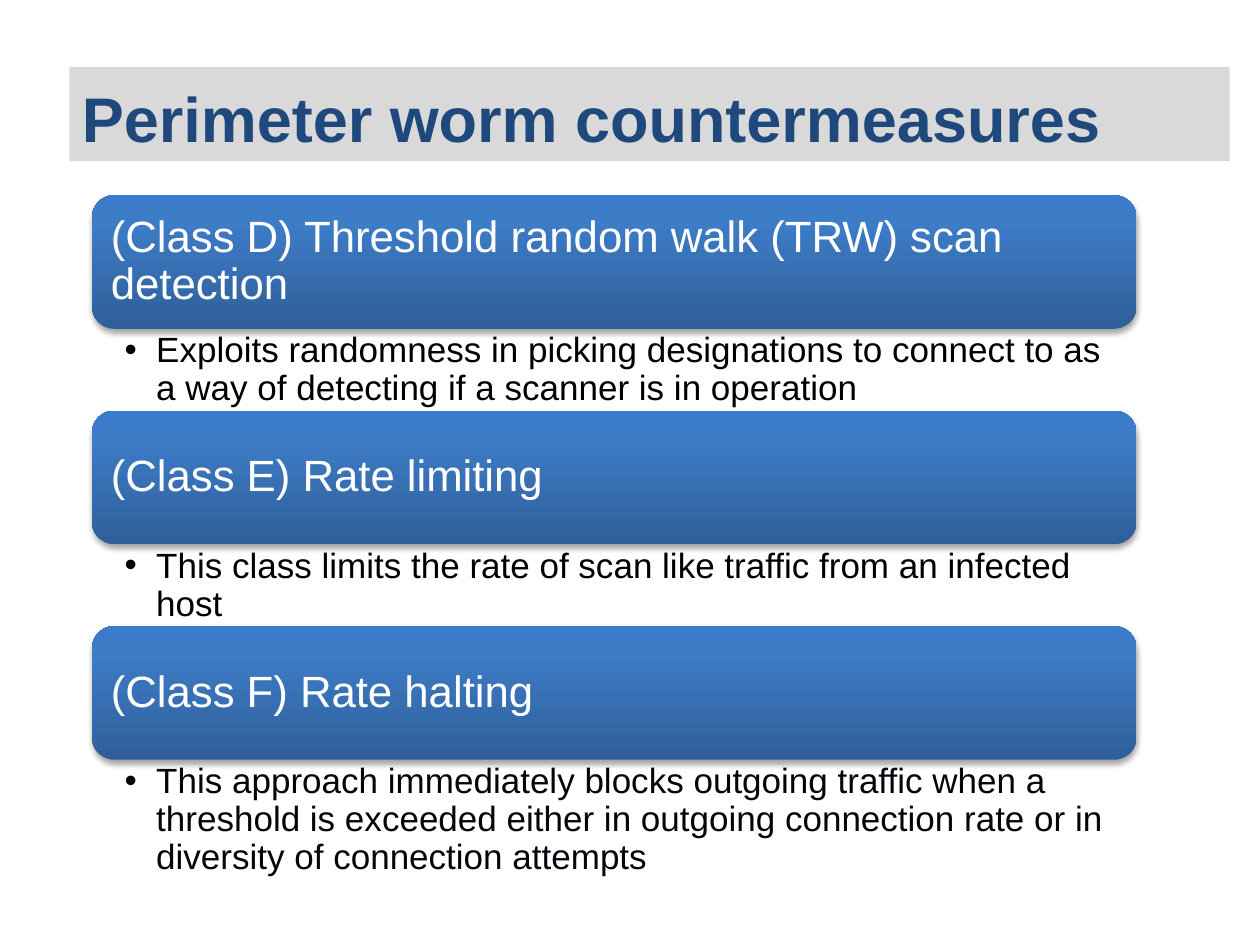
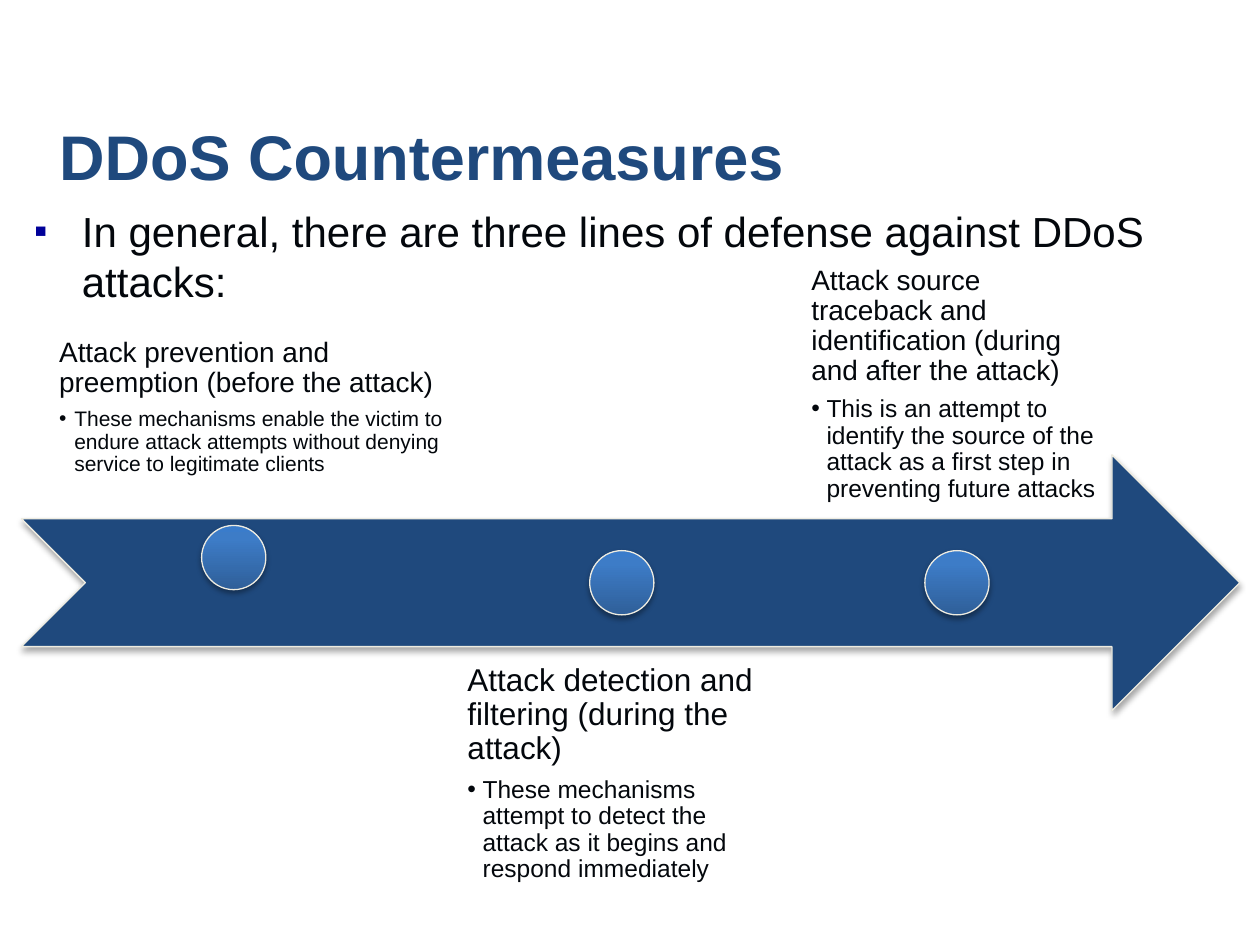
from lxml import etree
from pptx import Presentation
from pptx.dml.color import RGBColor
from pptx.enum.shapes import MSO_SHAPE
from pptx.enum.text import MSO_ANCHOR, MSO_AUTO_SIZE, PP_ALIGN
from pptx.oxml import parse_xml
from pptx.oxml.ns import nsdecls, qn
from pptx.util import Inches, Pt

# Shared style
FONT = "Arial"
NAVY = RGBColor(0x1F, 0x49, 0x7D)
BAND = RGBColor(0xD9, 0xD9, 0xD9)
CREAM = RGBColor(0xEE, 0xEC, 0xE1)
WHITE = RGBColor(0xFF, 0xFF, 0xFF)
BLACK = RGBColor(0x00, 0x00, 0x00)
INK = RGBColor(0x03, 0x07, 0x0C)
BULLET_BLUE = RGBColor(0x00, 0x00, 0x99)
GRADIENT = [(0, RGBColor(0x2F, 0x5F, 0x99)), (80, RGBColor(0x3D, 0x7C, 0xC7)),
            (100, RGBColor(0x3A, 0x7C, 0xCB))]

# Content: worm classes as (heading, note, note height, note colour)
WORM_TITLE = "Perimeter worm countermeasures"
WORM_CLASSES = [
    ("(Class D) Threshold random walk (TRW) scan detection",
     "Exploits randomness in picking designations to connect to as a way of "
     "detecting if a scanner is in operation", 0.65, BLACK),
    ("(Class E) Rate limiting",
     "This class limits the rate of scan like traffic from an infected host",
     0.65, BLACK),
    ("(Class F) Rate halting",
     "This approach immediately blocks outgoing traffic when a threshold is "
     "exceeded either in outgoing connection rate or in diversity of "
     "connection attempts", 0.93, INK),
]

# Content: lines of defense along the arrow
DDOS_TITLE = "DDoS Countermeasures"
DDOS_INTRO = "In general, there are three lines of defense against DDoS attacks:"
DEFENSES = [
    dict(heading="Attack prevention and preemption (before the attack)",
         note="These mechanisms enable the victim to endure attack attempts "
              "without denying service to legitimate clients",
         box=(0.35, 2.66, 3.37, 1.24), sizes=(16, 12), inset=0.12,
         anchor=MSO_ANCHOR.BOTTOM, dot=(1.6, 4.17)),
    dict(heading="Attack detection and filtering (during the attack)",
         note="These mechanisms attempt to detect the attack as it begins and "
              "respond immediately",
         box=(3.57, 5.13, 2.58, 2.03), sizes=(18, 14), inset=0.14,
         anchor=MSO_ANCHOR.TOP, dot=(4.68, 4.37)),
    dict(heading="Attack source traceback and identification (during and "
                 "after the attack)",
         note="This is an attempt to identify the source of the attack as a "
              "first step in preventing future attacks",
         box=(6.32, 2.08, 2.54, 2.03), sizes=(16, 14), inset=0.12,
         anchor=MSO_ANCHOR.BOTTOM, dot=(7.34, 4.37)),
]

BAR_LEFT, BAR_TOP, BAR_W, BAR_H = 0.73, 1.55, 8.29, 1.06
BAR_PITCH = BAR_H + 0.65
DOT = 0.51


def place(sp, left, top, width, height):
    sp.left, sp.top = Inches(left), Inches(top)
    sp.width, sp.height = Inches(width), Inches(height)


def set_frame(tf, insets, anchor):
    tf.word_wrap = True
    tf.auto_size = MSO_AUTO_SIZE.NONE
    tf.vertical_anchor = anchor
    (tf.margin_left, tf.margin_top,
     tf.margin_right, tf.margin_bottom) = [Inches(n) for n in insets]


def set_bullet(p, indent, char="•", color=None, percent=None):
    pPr = p._p.get_or_add_pPr()
    pPr.set("marL", str(Inches(indent)))
    pPr.set("indent", str(-Inches(indent)))
    if color is not None:
        clr = etree.SubElement(pPr, qn("a:buClr"))
        etree.SubElement(clr, qn("a:srgbClr"), val=str(color))
    if percent:
        etree.SubElement(pPr, qn("a:buSzPct"), val=str(percent * 1000))
    etree.SubElement(pPr, qn("a:buFont"), typeface=FONT)
    etree.SubElement(pPr, qn("a:buChar"), char=char)


def write(p, text, size, color, bold=False, spacing=0.9, after=0):
    p.text = text
    p.alignment = PP_ALIGN.LEFT
    p.line_spacing = spacing
    p.space_before = Pt(0)
    p.space_after = Pt(after)
    for r in p.runs:
        r.font.name, r.font.size = FONT, Pt(size)
        r.font.bold, r.font.color.rgb = bold, color


def add_title(s, text, box):
    sp = s.shapes.title
    place(sp, *box)
    set_frame(sp.text_frame, (0.1, 0.05, 0.1, 0.05), MSO_ANCHOR.BOTTOM)
    write(sp.text_frame.paragraphs[0], text, 36, NAVY, bold=True, spacing=1.0)
    return sp


def add_text_box(s, box, insets, anchor):
    tf = s.shapes.add_textbox(*[Inches(n) for n in box]).text_frame
    set_frame(tf, insets, anchor)
    return tf


def add_glossy(s, kind, box, fill=None, line=None):
    """Shape with a soft shadow; blue gradient unless a fill is given."""
    sp = s.shapes.add_shape(kind, *[Inches(n) for n in box])
    if fill is not None:
        sp.fill.solid()
        sp.fill.fore_color.rgb = fill
    else:
        sp.fill.gradient()
        grad = sp._element.spPr.find(qn("a:gradFill"))
        stops = grad.find(qn("a:gsLst"))
        for gs in list(stops):
            stops.remove(gs)
        for pos, color in GRADIENT:
            gs = etree.SubElement(stops, qn("a:gs"), pos=str(pos * 1000))
            etree.SubElement(gs, qn("a:srgbClr"), val=str(color))
        grad.find(qn("a:lin")).set("ang", str(270 * 60000))
    if line is None:
        sp.line.fill.background()
    else:
        sp.line.color.rgb = line
        sp.line.width = Pt(0.75)
    sp.shadow.inherit = False
    sp._element.spPr.find(qn("a:effectLst")).append(parse_xml(
        f'<a:outerShdw {nsdecls("a")} blurRad="{Pt(3.1)}" dist="{Pt(1.8)}" '
        'dir="5400000" rotWithShape="0"><a:srgbClr val="000000">'
        '<a:alpha val="35000"/></a:srgbClr></a:outerShdw>'))
    return sp


def build_worm_slide(prs):
    s = prs.slides.add_slide(prs.slide_layouts[5])
    title = add_title(s, WORM_TITLE, (0.55, 0.53, 9.21, 0.75))
    title.fill.solid()
    title.fill.fore_color.rgb = BAND

    # Class bars, each with its note below
    for i, (heading, note, note_h, color) in enumerate(WORM_CLASSES):
        top = BAR_TOP + i * BAR_PITCH
        bar = add_glossy(s, MSO_SHAPE.ROUNDED_RECTANGLE,
                         (BAR_LEFT, top, BAR_W, BAR_H))
        set_frame(bar.text_frame, (0.1,) * 4, MSO_ANCHOR.MIDDLE)
        write(bar.text_frame.paragraphs[0], heading, 25, WHITE)

        tf = add_text_box(s, (BAR_LEFT, top + BAR_H, BAR_W, note_h),
                          (0.26, 0.03, 0.19, 0.03), MSO_ANCHOR.TOP)
        set_bullet(tf.paragraphs[0], 0.25)
        write(tf.paragraphs[0], note, 20, color)


def build_ddos_slide(prs):
    s = prs.slides.add_slide(prs.slide_layouts[1])
    add_title(s, DDOS_TITLE, (0.37, 0.99, 10, 0.59))

    # Introduction
    body = s.placeholders[1]
    place(body, 0.17, 1.58, 9.83, 5.09)
    set_frame(body.text_frame, (0.1, 0.05, 0.1, 0.05), MSO_ANCHOR.TOP)
    p = body.text_frame.paragraphs[0]
    set_bullet(p, 0.38, "▪", BULLET_BLUE, 90)
    write(p, DDOS_INTRO, 24, INK, spacing=1.0)

    # Timeline arrow with its dots and texts
    add_glossy(s, MSO_SHAPE.NOTCHED_RIGHT_ARROW, (0.17, 3.61, 9.67, 2.03),
               fill=NAVY, line=CREAM)
    for d in DEFENSES:
        heading_size, note_size = d["sizes"]
        tf = add_text_box(s, d["box"], (d["inset"],) * 4, d["anchor"])
        write(tf.paragraphs[0], d["heading"], heading_size, INK,
              after=round(heading_size * 0.35, 1))
        p = tf.add_paragraph()
        set_bullet(p, 0.12)
        write(p, d["note"], note_size, INK, after=round(note_size * 0.15, 1))
        add_glossy(s, MSO_SHAPE.OVAL, (*d["dot"], DOT, DOT), line=CREAM)


def main():
    prs = Presentation()
    prs.slide_width, prs.slide_height = Inches(10), Inches(7.5)
    build_worm_slide(prs)
    build_ddos_slide(prs)
    prs.save("out.pptx")


if __name__ == "__main__":
    main()
